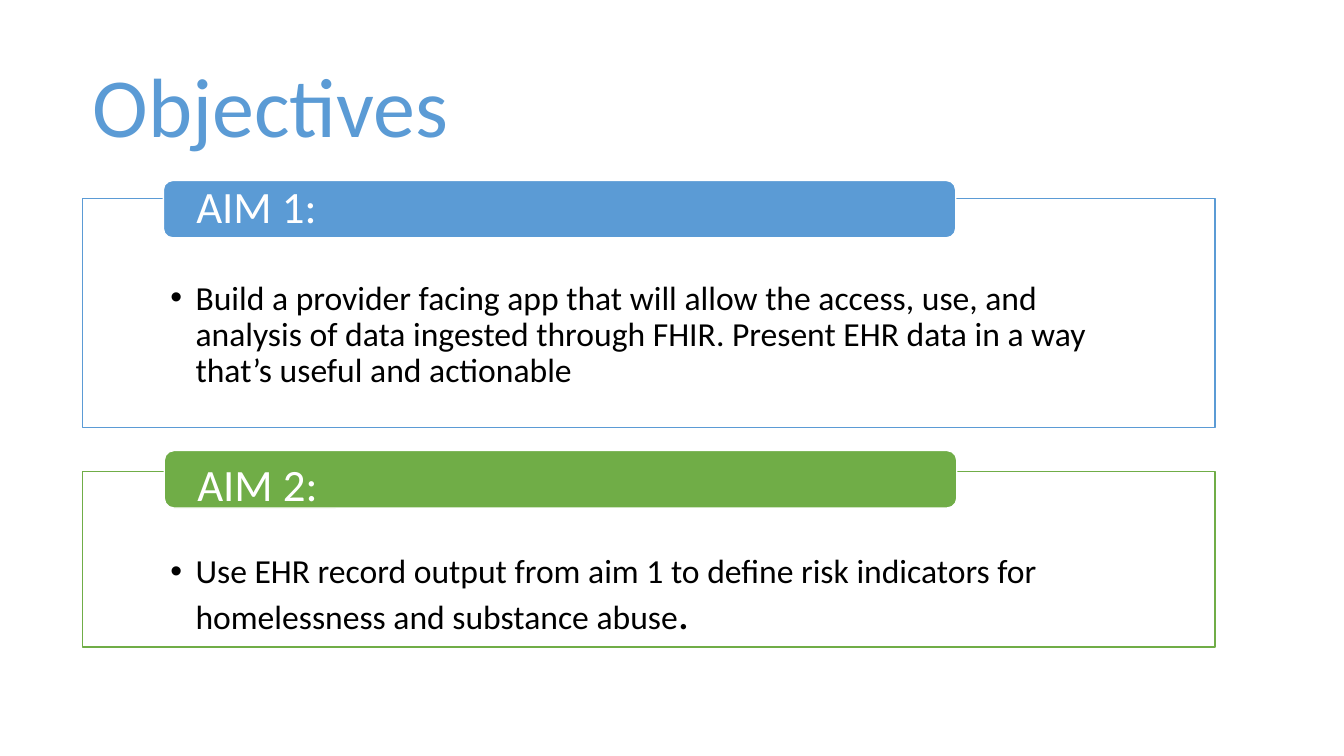
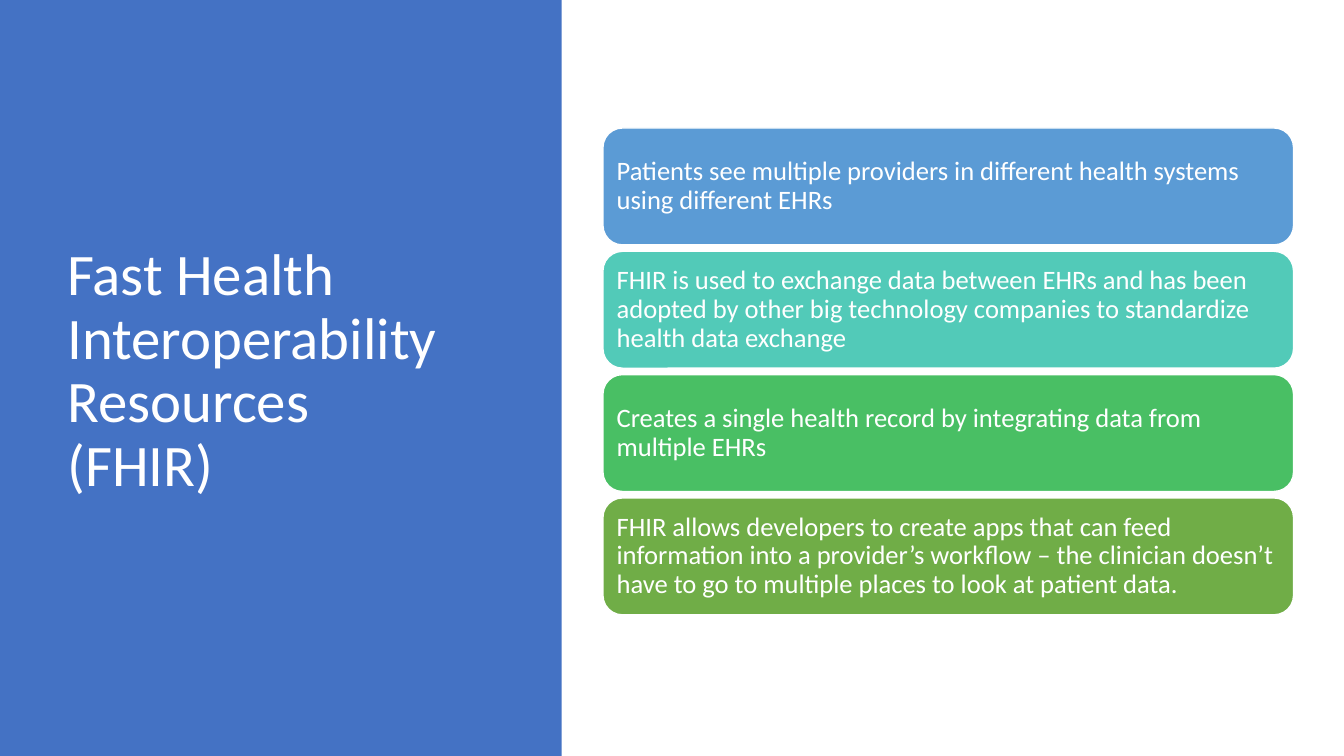
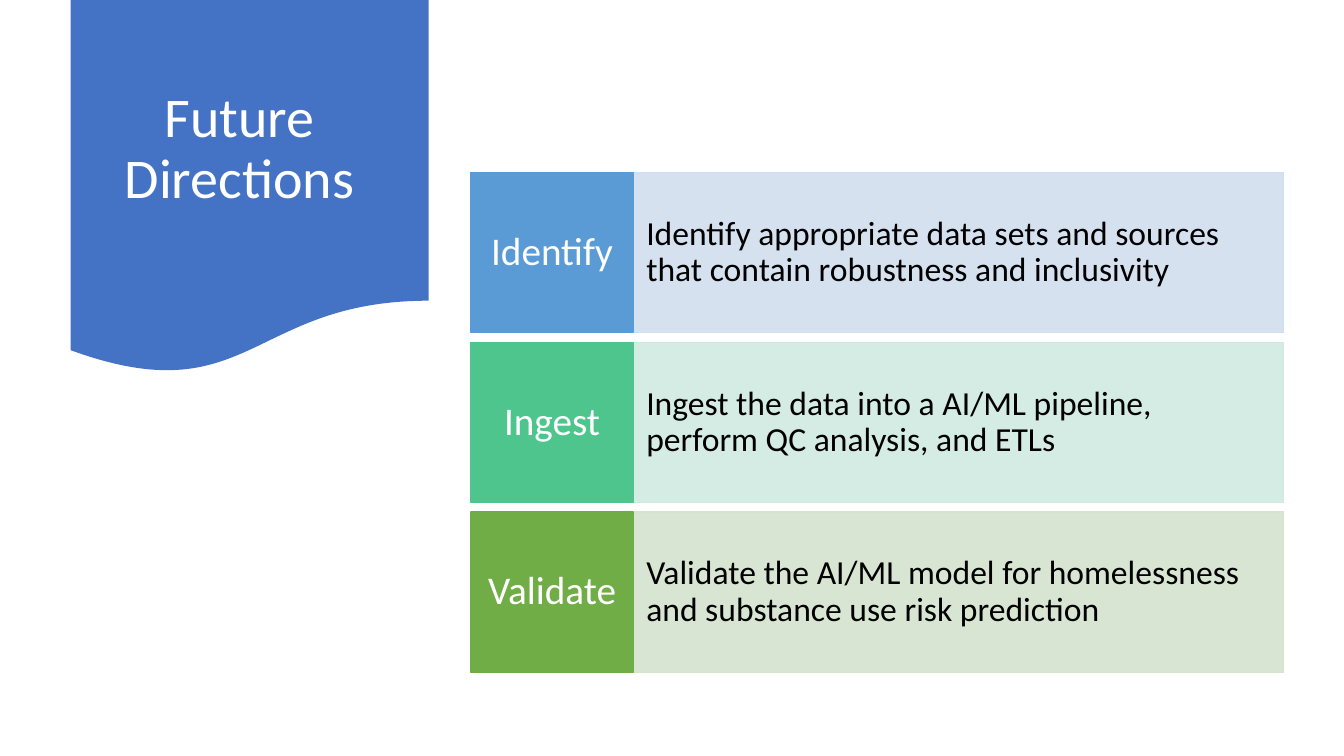
import pptx
import pptx.util
import pptx.dml.color
import pptx.enum.shapes
import pptx.enum.text
import pptx.oxml
import pptx.oxml.ns

Inches = pptx.util.Inches
Pt = pptx.util.Pt
KIND = pptx.enum.shapes.MSO_SHAPE
ALIGN = pptx.enum.text.PP_ALIGN
ANCHOR = pptx.enum.text.MSO_ANCHOR
hue = pptx.dml.color.RGBColor.from_string
qn = pptx.oxml.ns.qn

FONT = "Calibri"
WHITE = "FFFFFF"
BLACK = "000000"
SKY = "5B9BD5"
LEAF = "70AD47"
NAVY = "4472C4"
TITLE_PAD = (0.1, 0.05, 0.1, 0.05)


def box(slide, kind, at, fill, line=None, alpha=100):
    shape = slide.shapes.add_shape(kind, *map(Inches, at))
    shape.shadow.inherit = False
    shape.fill.solid()
    shape.fill.fore_color.rgb = hue(fill)
    if line:
        shape.line.color.rgb = hue(line)
        shape.line.width = Pt(1)
    else:
        shape.line.fill.background()
    if alpha < 100:
        tint = shape.fill._xPr.find(".//" + qn("a:srgbClr"))
        pptx.oxml.ns.qn
        mark = tint.makeelement(qn("a:alpha"), {"val": str(alpha * 1000)})
        tint.append(mark)
    return shape


def write(shape, text, size, color=WHITE, align=ALIGN.LEFT, anchor=ANCHOR.MIDDLE,
          pad=TITLE_PAD, bullet=False, tail="", big=0):
    frame = shape.text_frame
    frame.word_wrap = True
    frame.vertical_anchor = anchor
    frame.margin_left, frame.margin_top, frame.margin_right, frame.margin_bottom = map(Inches, pad)
    para = frame.paragraphs[0]
    para.text = text
    para.alignment = align
    para.line_spacing = 0.9
    if tail:
        para.add_run().text = tail
    for run in para.runs:
        run.font.name = FONT
        run.font.size = Pt(size)
        run.font.color.rgb = hue(color)
    if tail:
        para.runs[-1].font.size = Pt(big)
    if bullet:
        props = para._p.get_or_add_pPr()
        props.set("marL", str(Inches(0.25)))
        props.set("indent", str(-Inches(0.25)))
        props.append(props.makeelement(qn("a:buFont"), {"typeface": "Arial"}))
        props.append(props.makeelement(qn("a:buChar"), {"char": "•"}))


deck = pptx.Presentation()
deck.slide_width = Inches(13.33)
deck.slide_height = Inches(7.5)
goals, fhir, future = [deck.slides.add_slide(deck.slide_layouts[6]) for _ in range(3)]

title = goals.shapes.add_textbox(*map(Inches, (0.82, 0.57, 4.16, 1.05)))
write(title, "Objectives", 60, color=SKY)
aims = [
    ("AIM 1:", SKY, 1.97, 2.27, 1.62, 1.79, 0,
     "Build a provider facing app that will allow the access, use, and analysis of data "
     "ingested through FHIR. Present EHR data in a way that’s useful and actionable", ""),
    ("AIM 2:", LEAF, 4.68, 1.74, 1.63, 4.47, 0.16,
     "Use EHR record output from aim 1 to define risk indicators for "
     "homelessness and substance abuse", "."),
]
for name, color, top, height, left, tab_top, drop, text, tail in aims:
    frame = box(goals, KIND.RECTANGLE, (0.82, top, 11.23, height), WHITE, color, 90)
    write(frame, text, 24, color=BLACK, anchor=ANCHOR.TOP, pad=(0.87, 0.82, 0.87, 0.19),
          bullet=True, tail=tail, big=32)
    tab = box(goals, KIND.ROUNDED_RECTANGLE, (left, tab_top, 7.86, 0.57), color, WHITE)
    write(tab, name, 32, pad=(0.3, drop, 0.3, 0))

box(fhir, KIND.RECTANGLE, (0, 0, 5.57, 7.5), NAVY)
title = fhir.shapes.add_textbox(*map(Inches, (0.57, 0.68, 4.16, 6.02)))
write(title, "Fast Health Interoperability Resources\v(FHIR)", 42)
facts = [
    ("Patients see multiple providers in different health systems using different EHRs", SKY),
    ("FHIR is used to exchange data between EHRs and has been adopted by other big "
     "technology companies to standardize health data exchange", "52CAB8"),
    ("Creates a single health record by integrating data from multiple EHRs", "49BF64"),
    ("FHIR allows developers to create apps that can feed information into a provider’s "
     "workflow – the clinician doesn’t have to go to multiple places to look at patient data.",
     LEAF),
]
for i, (text, color) in enumerate(facts):
    card = box(fhir, KIND.ROUNDED_RECTANGLE, (5.98, 1.27 + i * 3.67 / 3, 6.85, 1.16), color, WHITE)
    write(card, text, 19, pad=(0.08,) * 4)

box(future, KIND.FLOWCHART_DOCUMENT, (0.7, 0, 3.55, 3.72), NAVY)
title = future.shapes.add_textbox(*map(Inches, (0.82, 0.19, 3.11, 2.59)))
write(title, "Future\vDirections", 40, align=ALIGN.CENTER)
steps = [
    ("Identify", SKY, "D2DEEF",
     "Identify appropriate data sets and sources that contain robustness and inclusivity"),
    ("Ingest", "4DC58D", "D0EAE1",
     "Ingest the data into a AI/ML pipeline, perform QC analysis, and ETLs"),
    ("Validate", LEAF, "D5E3CF",
     "Validate the AI/ML model for homelessness and substance use risk prediction"),
]
for i, (name, color, pale, text) in enumerate(steps):
    top = 1.71 + i * 3.37 / 2
    body = box(future, KIND.RECTANGLE, (6.28, top, 6.45, 1.59), pale, pale, 90)
    write(body, text, 24, color=BLACK, pad=(0.13, 0.4, 0.13, 0.4))
    head = box(future, KIND.RECTANGLE, (4.67, top, 1.61, 1.59), color, color)
    write(head, name, 28, align=ALIGN.CENTER, pad=(0.09, 0.16, 0.09, 0.16))

deck.save("out.pptx")
